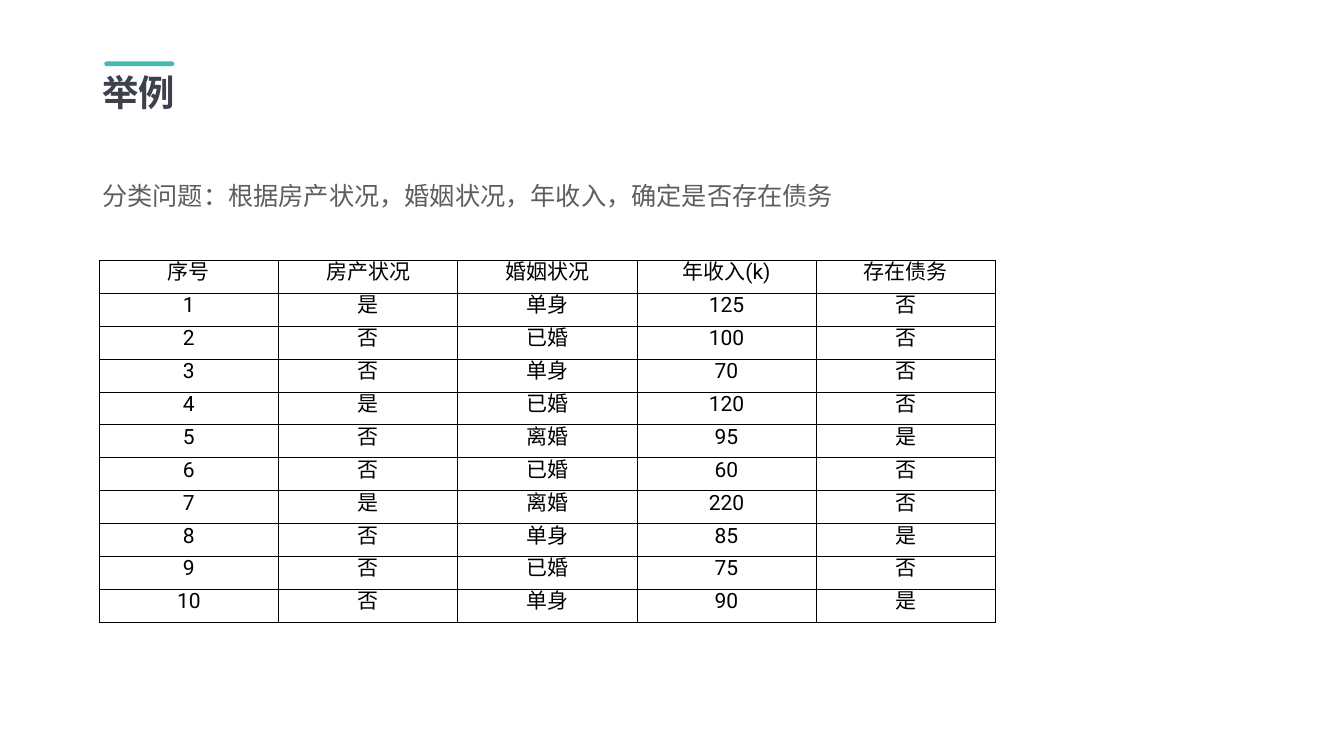
from dataclasses import dataclass

from lxml.etree import SubElement
from pptx import Presentation
from pptx.dml.color import RGBColor
from pptx.enum.shapes import MSO_SHAPE
from pptx.enum.text import MSO_ANCHOR, MSO_AUTO_SIZE, PP_ALIGN
from pptx.oxml.ns import qn
from pptx.util import Inches, Pt


@dataclass(frozen=True)
class Theme:
    """Colours, type sizes and fonts of the deck."""
    title: str = "3E404C"
    accent: str = "44B8B5"
    body: str = "5E5E5E"
    ink: str = "000000"
    title_size: int = 52
    body_size: int = 36
    table_size: int = 30
    text_font: str = "Noto Sans"
    table_font: str = "Roboto"


THEME = Theme()
HEADERS = ["序号", "房产状况", "婚姻状况", "年收入(k)", "存在债务"]
RECORDS = [
    ("是", "单身", 125, "否"),
    ("否", "已婚", 100, "否"),
    ("否", "单身", 70, "否"),
    ("是", "已婚", 120, "否"),
    ("否", "离婚", 95, "是"),
    ("否", "已婚", 60, "否"),
    ("是", "离婚", 220, "否"),
    ("否", "单身", 85, "是"),
    ("否", "已婚", 75, "否"),
    ("否", "单身", 90, "是"),
]


def set_values(target, values):
    """Set each attribute named in values on target."""
    for name, value in values.items():
        setattr(target, name, value)


def place(shape, box):
    """Move a shape to box: left, top, width and height in inches."""
    names = ("left", "top", "width", "height")
    set_values(shape, dict(zip(names, map(Inches, box))))


def write(para, text, size, font, colour, bold=False):
    """Add one formatted span, with the same font for Latin and Chinese."""
    span = para.add_run()
    span.text = text
    set_values(span.font, {"size": Pt(size), "name": font, "bold": bold})
    span.font.color.rgb = RGBColor.from_string(colour)
    SubElement(span.font._element, qn("a:ea"), typeface=font)


def prepare_frame(shape, anchor, wrap):
    """Set up the frame of a placeholder and return its first paragraph."""
    frame = shape.text_frame
    sides = ("margin_left", "margin_top", "margin_right", "margin_bottom")
    set_values(frame, dict.fromkeys(sides, Inches(0.06)))
    set_values(frame, {"vertical_anchor": anchor, "word_wrap": wrap,
                       "auto_size": MSO_AUTO_SIZE.NONE})
    para = frame.paragraphs[0]
    set_values(para, {"alignment": PP_ALIGN.LEFT, "space_before": Pt(0)})
    return para


def add_heading(page, box, text):
    """Fill the title and put a rounded accent bar on its top edge."""
    left, top, width, _ = box
    place(page.shapes.title, box)
    para = prepare_frame(page.shapes.title, MSO_ANCHOR.MIDDLE, False)
    write(para, text, THEME.title_size, THEME.text_font, THEME.title, True)
    bar = page.shapes.add_shape(MSO_SHAPE.ROUNDED_RECTANGLE, 0, 0, 0, 0)
    place(bar, (left + 0.1, top - 0.11, width - 0.18, 0.09))
    bar.adjustments[0] = 0.5
    bar.shadow.inherit = False
    bar.fill.solid()
    bar.fill.fore_color.rgb = RGBColor.from_string(THEME.accent)
    bar.line.fill.background()


def add_statement(page, box, text):
    """Fill the body with one line without a bullet."""
    body = page.placeholders[1]
    place(body, box)
    para = prepare_frame(body, MSO_ANCHOR.TOP, True)
    para.line_spacing = 1.2
    properties = para._p.get_or_add_pPr()
    properties.set("marL", "0")
    properties.set("indent", "0")
    SubElement(properties, qn("a:buNone"))
    write(para, text, THEME.body_size, THEME.text_font, THEME.body)


def add_borders(cell):
    """Draw a thin line on all four sides of a cell."""
    properties = cell._tc.get_or_add_tcPr()
    for place_in_order, side in enumerate(("lnL", "lnR", "lnT", "lnB")):
        line = properties.makeelement(qn(f"a:{side}"), {"w": str(Pt(1))})
        fill = SubElement(line, qn("a:solidFill"))
        SubElement(fill, qn("a:srgbClr"), val=THEME.ink)
        properties.insert(place_in_order, line)


def add_record_table(page, box, rows):
    """Draw rows as a plain ruled table with equal columns and rows."""
    left, top, width, height = map(Inches, box)
    table = page.shapes.add_table(len(rows), len(rows[0]),
                                  left, top, width, height).table
    set_values(table, {"first_row": False, "horz_banding": False})
    sides = ("margin_left", "margin_top", "margin_right", "margin_bottom")
    for row_index, row in enumerate(rows):
        for column_index, value in enumerate(row):
            cell = table.cell(row_index, column_index)
            set_values(cell, dict.fromkeys(sides, 0))
            cell.vertical_anchor = MSO_ANCHOR.TOP
            cell.fill.background()
            add_borders(cell)
            para = cell.text_frame.paragraphs[0]
            para.alignment = PP_ALIGN.CENTER
            write(para, str(value), THEME.table_size, THEME.table_font,
                  THEME.ink)


def build_deck():
    """Build the example slide and save the deck."""
    deck = Presentation()
    set_values(deck, {"slide_width": Inches(26.67),
                      "slide_height": Inches(15)})
    page = deck.slides.add_slide(deck.slide_layouts[1])
    add_heading(page, (1.97, 1.33, 1.57, 0.99), "举例")
    add_statement(page, (1.97, 3.4, 20.42, 2.04),
                  "分类问题：根据房产状况，婚姻状况，年收入，确定是否存在债务")
    numbered = [(number, *record) for number, record in enumerate(RECORDS, 1)]
    add_record_table(page, (1.97, 5.16, 17.78, 7.19), [HEADERS, *numbered])
    deck.save("out.pptx")


build_deck()
